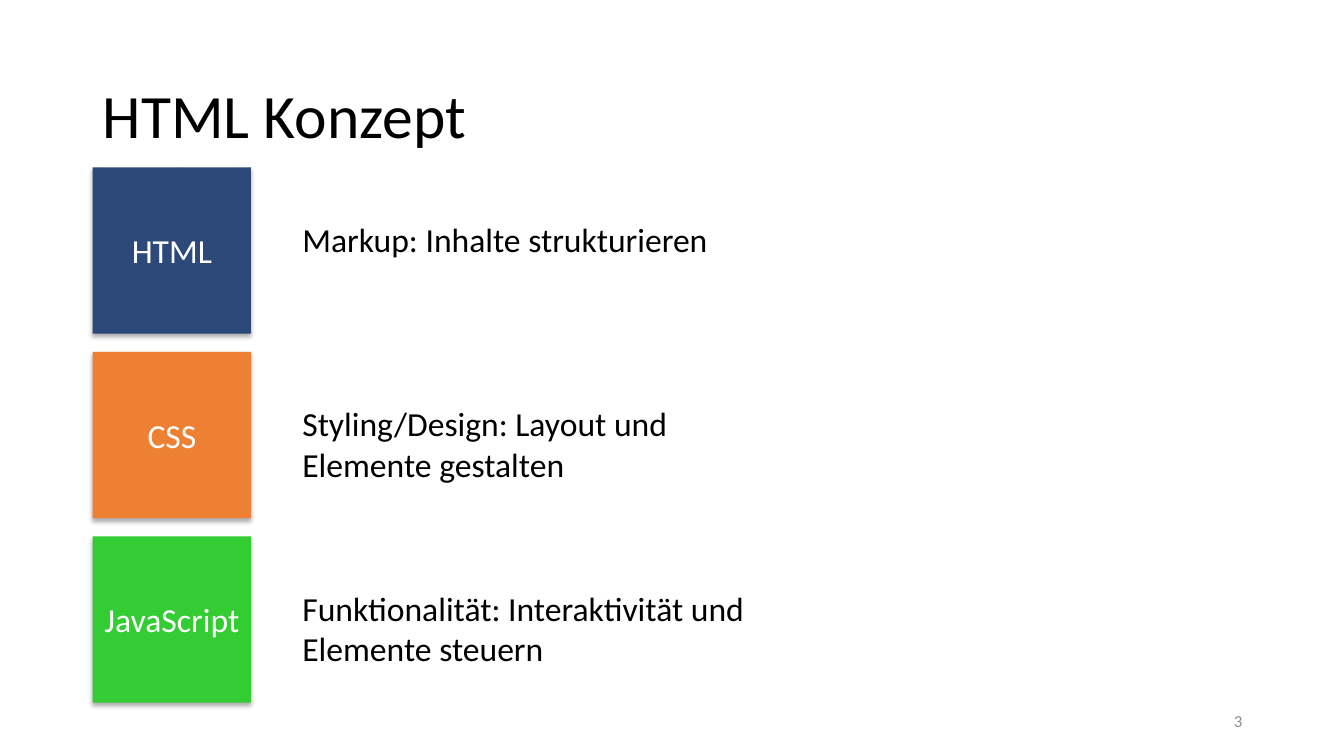
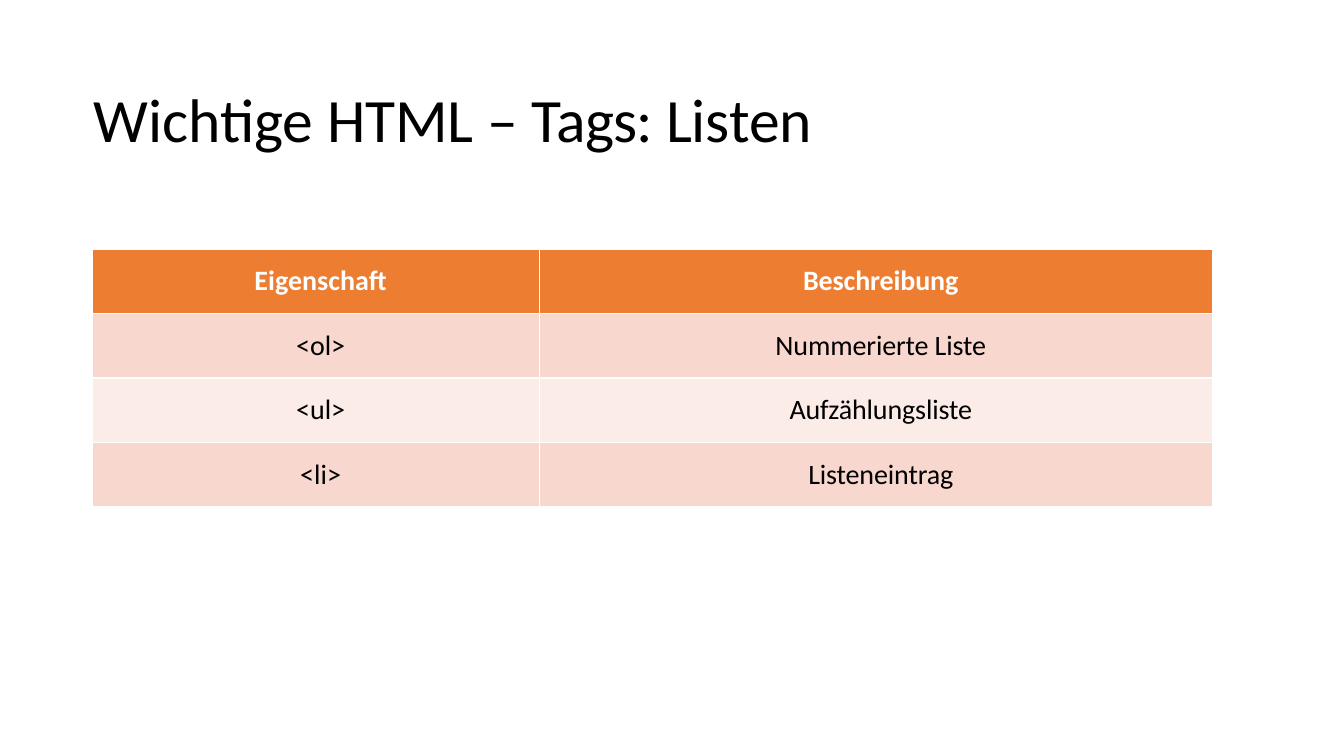
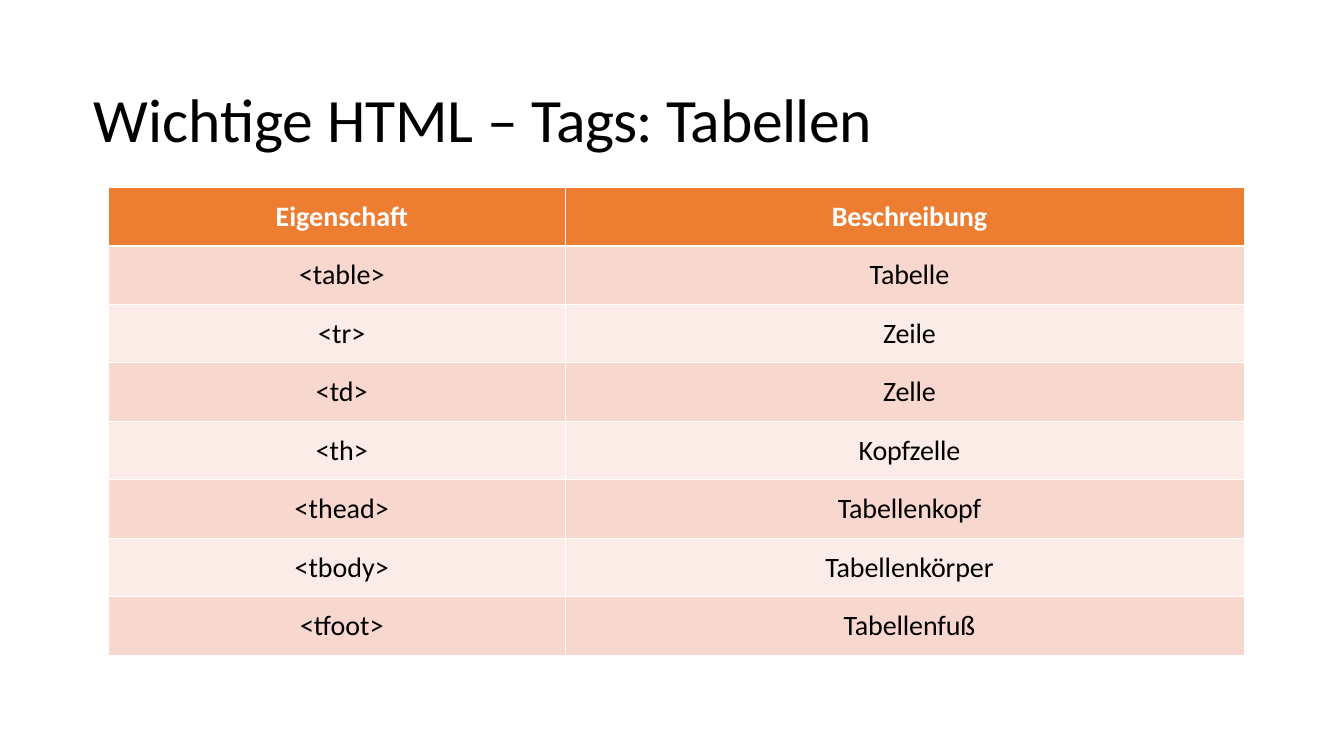
from pptx import Presentation
from pptx.dml.color import RGBColor
from pptx.enum.shapes import MSO_SHAPE
from pptx.enum.text import MSO_ANCHOR, MSO_AUTO_SIZE, PP_ALIGN
from pptx.oxml import parse_xml
from pptx.oxml.ns import nsdecls
from pptx.util import Inches, Pt

HUES = {
    "ink": "000000", "paper": "FFFFFF", "gray": "8C8C8C",
    "navy": "2C497A", "amber": "EE8033", "green": "33CC33",
    "head": "ED7D31", "dark": "F8D7CE", "pale": "FCECE8",
}
STEPS = [
    ("HTML", "navy", "Markup: Inhalte strukturieren", 0.5),
    ("CSS", "amber", "Styling/Design: Layout und Elemente gestalten", 0.91),
    ("JavaScript", "green", "Funktionalität: Interaktivität und Elemente steuern", 0.91),
]
HEAD = ("Eigenschaft", "Beschreibung")
TABLES = [
    {
        "name": ("Listen", -10), "at": (0.92, 2.47), "cols": (4.43, 6.68), "row": 0.64,
        "rows": [
            ("<ol>", "Nummerierte Liste"),
            ("<ul>", "Aufzählungsliste"),
            ("<li>", "Listeneintrag"),
        ],
    },
    {
        "name": ("Tabellen", -30), "at": (1.08, 1.86), "cols": (4.53, 6.73), "row": 0.58,
        "rows": [
            ("<table>", "Tabelle"),
            ("<tr>", "Zeile"),
            ("<td>", "Zelle"),
            ("<th>", "Kopfzelle"),
            ("<thead>", "Tabellenkopf"),
            ("<tbody>", "Tabellenkörper"),
            ("<tfoot>", "Tabellenfuß"),
        ],
    },
]
TITLE = {"size": Pt(44)}
LABEL = {"size": Pt(24)}
CELL = {"size": Pt(20)}
SHADE = (
    f'<a:effectLst {nsdecls("a")}><a:outerShdw blurRad="44450" dist="27940" '
    'dir="5400000" rotWithShape="0"><a:srgbClr val="000000">'
    '<a:alpha val="32000"/></a:srgbClr></a:outerShdw></a:effectLst>'
)


def tint(name):
    return RGBColor.from_string(HUES[name])


def write(frame, runs, look, hue="ink", align=PP_ALIGN.LEFT, indent=0):
    para = frame.paragraphs[0]
    para.alignment = align
    if indent:
        props = para._p.get_or_add_pPr()
        props.set("marL", str(Inches(indent)))
        props.set("indent", "0")
    for text, gap in runs:
        run = para.add_run()
        run.text = text
        run.font.name = "Calibri"
        run.font.color.rgb = tint(hue)
        for key, val in look.items():
            setattr(run.font, key, val)
        if gap:
            run._r.get_or_add_rPr().set("spc", str(gap))
    return para


def place(shape, box):
    for key, val in zip(("left", "top", "width", "height"), box):
        setattr(shape, key, Inches(val))


def inset(item, size):
    for side in ("left", "top", "right", "bottom"):
        setattr(item, f"margin_{side}", Inches(size))


def start(deck, runs, box, tight=False):
    slide = deck.slides.add_slide(deck.slide_layouts[5])
    title = slide.shapes.title
    place(title, box)
    frame = title.text_frame
    frame.auto_size = MSO_AUTO_SIZE.NONE
    frame.vertical_anchor = MSO_ANCHOR.MIDDLE
    if tight:
        inset(frame, 0)
    para = write(frame, runs, TITLE, indent=0.01 if tight else 0)
    para.line_spacing = 1.0 if tight else 0.9
    return slide


def label(slide, text, box, look, **form):
    shape = slide.shapes.add_textbox(*map(Inches, box))
    shape.text_frame.word_wrap = True
    write(shape.text_frame, [(text, 0)], look, **form)
    return shape


def concept(deck):
    slide = start(deck, [("HTML Konzept", 0)], (0.92, 0.5, 11.5, 1.35))
    page = label(slide, "3", (9.42, 6.95, 3, 0.4), {"size": Pt(12)},
                 hue="gray", align=PP_ALIGN.RIGHT)
    page.text_frame.vertical_anchor = MSO_ANCHOR.MIDDLE
    for row, (name, hue, text, high) in enumerate(STEPS):
        top = 1.66 + row * 1.83
        tile = slide.shapes.add_shape(
            MSO_SHAPE.RECTANGLE, *map(Inches, (0.92, top, 1.57, 1.65)))
        tile.fill.solid()
        tile.fill.fore_color.rgb = tint(hue)
        tile.line.fill.background()
        tile._element.spPr.append(parse_xml(SHADE))
        tile.text_frame.vertical_anchor = MSO_ANCHOR.MIDDLE
        write(tile.text_frame, [(name, 0)], LABEL, "paper", PP_ALIGN.CENTER)
        label(slide, text, (2.9, top + 0.46, 4.72, high), LABEL)


def tags(deck, data):
    runs = [("Wichtige HTML – ", -10), ("Tags: ", -60), data["name"]]
    slide = start(deck, runs, (0.92, 0.8, 11.5, 0.74), True)
    rows = [HEAD, *data["rows"]]
    size = (sum(data["cols"]), data["row"] * len(rows))
    grid = slide.shapes.add_table(
        len(rows), len(HEAD), *map(Inches, data["at"] + size)).table
    for col, wide in zip(grid.columns, data["cols"]):
        col.width = Inches(wide)
    for r, row in enumerate(rows):
        fill = "head" if r == 0 else "dark" if r % 2 else "pale"
        for c, text in enumerate(row):
            cell = grid.cell(r, c)
            cell.fill.solid()
            cell.fill.fore_color.rgb = tint(fill)
            cell.vertical_anchor = MSO_ANCHOR.MIDDLE
            inset(cell, 0)
            para = write(cell.text_frame, [(text, -10 * c)], {**CELL, "bold": r == 0},
                         "ink" if r else "paper", PP_ALIGN.CENTER, 0.09)
            para.space_before = Pt(0.8 if r == 1 else 1.9)


def main():
    deck = Presentation()
    deck.slide_width = Inches(13.33)
    deck.slide_height = Inches(7.5)
    concept(deck)
    for data in TABLES:
        tags(deck, data)
    deck.save("out.pptx")


if __name__ == "__main__":
    main()
